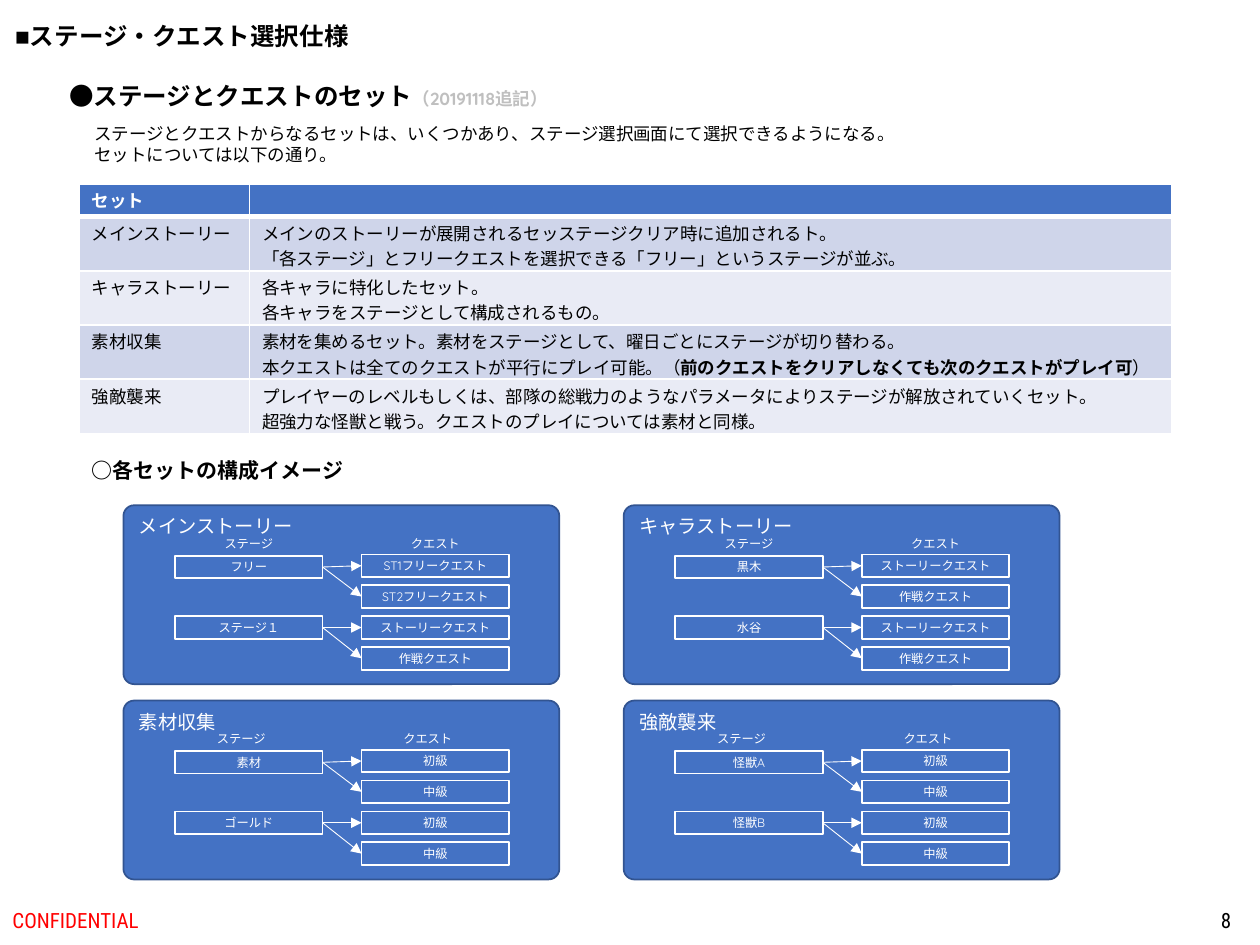
"""Build the slide on stage and quest sets."""
import lxml.etree
import pptx
import pptx.dml.color
import pptx.enum.shapes
import pptx.enum.text
import pptx.oxml.ns
import pptx.util

Inches = pptx.util.Inches
Pt = pptx.util.Pt
RGBColor = pptx.dml.color.RGBColor
SHAPE = pptx.enum.shapes.MSO_SHAPE
ALIGN = pptx.enum.text.PP_ALIGN
ANCHOR = pptx.enum.text.MSO_ANCHOR
FIT = pptx.enum.text.MSO_AUTO_SIZE
qn = pptx.oxml.ns.qn

BLACK = RGBColor(0, 0, 0)
WHITE = RGBColor(255, 255, 255)
RED = RGBColor(255, 0, 0)
GRAY = RGBColor(0xBF, 0xBF, 0xBF)
BLUE = RGBColor(0x44, 0x72, 0xC4)
NAVY = RGBColor(0x32, 0x54, 0x91)
BANDS = [RGBColor(0xCF, 0xD5, 0xEA), RGBColor(0xE9, 0xEB, 0xF5)]
FONT = "Quicksand"

ROWS = [
    ("セット", ""),
    ("メインストーリー",
     "メインのストーリーが展開されるセッステージクリア時に追加されるト。\n"
     "「各ステージ」とフリークエストを選択できる「フリー」というステージが並ぶ。"),
    ("キャラストーリー",
     "各キャラに特化したセット。\n各キャラをステージとして構成されるもの。"),
    ("素材収集",
     "素材を集めるセット。素材をステージとして、曜日ごとにステージが切り替わる。\n"
     "本クエストは全てのクエストが平行にプレイ可能。（"),
    ("強敵襲来",
     "プレイヤーのレベルもしくは、部隊の総戦力のようなパラメータによりステージが解放されていくセット。\n"
     "超強力な怪獣と戦う。クエストのプレイについては素材と同様。"),
]
STORY = ["ストーリークエスト", "作戦クエスト"]
GRADES = ["初級", "中級"]
PANELS = [
    ("メインストーリー", ["フリー", "ステージ１"],
     ["ST1フリークエスト", "ST2フリークエスト"] + STORY),
    ("キャラストーリー", ["黒木", "水谷"], STORY * 2),
    ("素材収集", ["素材", "ゴールド"], GRADES * 2),
    ("強敵襲来", ["怪獣A", "怪獣B"], GRADES * 2),
]


def style(run, size, color, bold=False, font=FONT, asian=True):
    """Set the look of one run."""
    run.font.size = Pt(size)
    run.font.bold = bold
    run.font.name = font
    run.font.color.rgb = color
    if asian:
        lxml.etree.SubElement(run.font._element, qn("a:ea"), typeface=font)


def fill_text(shape, text, size, color, align=ALIGN.LEFT, anchor=ANCHOR.TOP,
              wrap=True, bold=False, font=FONT):
    """Put styled text into a shape."""
    frame = shape.text_frame
    frame.text = text
    frame.auto_size = FIT.NONE if wrap else FIT.SHAPE_TO_FIT_TEXT
    frame.word_wrap = wrap
    frame.vertical_anchor = anchor
    for par in frame.paragraphs:
        par.alignment = align
        for run in par.runs:
            style(run, size, color, bold, font)


def add_text(shapes, box, text, size, color, **look):
    """Add a text box."""
    shape = shapes.add_textbox(*map(Inches, box))
    fill_text(shape, text, size, color, **look)
    return shape


def add_box(shapes, kind, box, text, size, line, **look):
    """Add a blue outlined shape with white text."""
    shape = shapes.add_shape(kind, *map(Inches, box))
    shape.shadow.inherit = False
    shape.fill.solid()
    shape.fill.fore_color.rgb = BLUE
    shape.line.color.rgb = line
    shape.line.width = Pt(1)
    fill_text(shape, text, size, WHITE, **look)
    return shape


def add_arrow(shapes, start, end):
    """Join the right side of one box to the left side of another."""
    arrow = shapes.add_connector(
        pptx.enum.shapes.MSO_CONNECTOR.STRAIGHT, 0, 0, 0, 0)
    arrow.begin_connect(start, 3)
    arrow.end_connect(end, 1)
    arrow.line.color.rgb = WHITE
    arrow.line.width = Pt(0.5)
    props = arrow._element.spPr
    lxml.etree.SubElement(props.find(qn("a:ln")), qn("a:tailEnd"),
                          type="triangle")
    lxml.etree.SubElement(props, qn("a:effectLst"))


def add_panel(slide, left, top, shift, panel):
    """Add one set panel with its stages and quests."""
    name, stages, quests = panel
    shapes = slide.shapes.add_group_shape().shapes
    card = add_box(shapes, SHAPE.ROUNDED_RECTANGLE, (left, top, 3.46, 1.42),
                   name, 11, NAVY)
    card.adjustments[0] = 0.06
    mid = {"align": ALIGN.CENTER, "anchor": ANCHOR.MIDDLE}

    def cell(dx, dy, text):
        """Add one small box."""
        return add_box(shapes, SHAPE.RECTANGLE,
                       (left + dx, top + dy, 1.17, 0.18), text, 7, WHITE, **mid)

    starts = [cell(0.41, 0.4 + 0.48 * i, t) for i, t in enumerate(stages)]
    ends = [cell(1.89, 0.39 + 0.245 * i, t) for i, t in enumerate(quests)]
    for i, end in enumerate(ends):
        add_arrow(shapes, starts[i // 2], end)
    for dx, text in ((0.41, "ステージ"), (1.89, "クエスト")):
        add_text(shapes, (left + dx + shift, top + 0.21, 1.17, 0.18),
                 text, 7, WHITE, **mid)


def set_edges(cell, base):
    """Draw white borders around a table cell."""
    props = cell._tc.get_or_add_tcPr()
    widths = {"L": 1, "R": 1, "T": 3 if base == 1 else 1,
              "B": 3 if base == 0 else 1}
    for side, width in widths.items():
        line = lxml.etree.SubElement(props, qn("a:ln" + side),
                                     w=str(Pt(width)))
        solid = lxml.etree.SubElement(line, qn("a:solidFill"))
        lxml.etree.SubElement(solid, qn("a:srgbClr"), val=str(WHITE))


def add_sets(slide):
    """Add the table of sets."""
    box = map(Inches, (0.63, 1.46, 8.67, 2))
    table = slide.shapes.add_table(len(ROWS), 2, *box).table
    table.columns[0].width = Inches(1.35)
    table.columns[1].width = Inches(7.32)
    for r, texts in enumerate(ROWS):
        table.rows[r].height = Inches(0.43 if r else 0.26)
        for c, text in enumerate(texts):
            cell = table.cell(r, c)
            cell.margin_top, cell.margin_bottom = Inches(0.03), 0
            set_edges(cell, r)
            cell.fill.solid()
            cell.fill.fore_color.rgb = BANDS[(r - 1) % 2] if r else BLUE
            cell.text_frame.text = text
            for par in cell.text_frame.paragraphs:
                for run in par.runs:
                    style(run, 10, BLACK if r else WHITE, r == 0, asian=False)
                if not par.runs:
                    lxml.etree.SubElement(par._p, qn("a:endParaRPr"), sz="1000")
    last = table.cell(3, 1).text_frame.paragraphs[-1]
    for text, bold in (("前のクエストをクリアしなくても次のクエストがプレイ可", True),
                       ("）", False)):
        run = last.add_run()
        run.text = text
        style(run, 10, BLACK, bold, asian=False)


def main():
    """Build and save the slide."""
    deck = pptx.Presentation()
    deck.slide_width, deck.slide_height = Inches(10), Inches(7.5)
    slide = deck.slides.add_slide(deck.slide_layouts[5])
    shapes = slide.shapes
    title = shapes.title
    title.left, title.top, title.width, title.height = map(
        Inches, (0.02, 0.12, 2.95, 0.34))
    fill_text(title, "■ステージ・クエスト選択仕様", 14, BLACK, wrap=False,
              bold=True, font="Arial")
    foot = {"anchor": ANCHOR.MIDDLE, "font": "Roboto Condensed"}
    add_text(shapes, (0, 7.1, 3.38, 0.4), "CONFIDENTIAL", 12, RED, **foot)
    add_text(shapes, (7.62, 7.1, 2.25, 0.4), "8", 12, BLACK,
             align=ALIGN.RIGHT, **foot)
    head = add_text(shapes, (0.45, 0.59, 4.27, 0.34),
                    "●ステージとクエストのセット", 14, BLACK, wrap=False, bold=True)
    date = head.text_frame.paragraphs[0].add_run()
    date.text = "（20191118追記）"
    style(date, 10, GRAY, True)
    add_text(shapes, (0.65, 0.93, 6.65, 0.44),
             "ステージとクエストからなるセットは、いくつかあり、ステージ選択画面にて選択できるようになる。\n"
             "セットについては以下の通り。", 10, BLACK, wrap=False)
    add_sets(slide)
    add_text(shapes, (0.63, 3.58, 2.22, 0.3), "○各セットの構成イメージ", 12,
             BLACK, wrap=False, bold=True)
    for i, panel in enumerate(PANELS):
        row, col = divmod(i, 2)
        add_panel(slide, 0.98 + 3.97 * col, 4.01 + 1.55 * row,
                  -0.06 * row, panel)
    deck.save("out.pptx")


if __name__ == "__main__":
    main()
